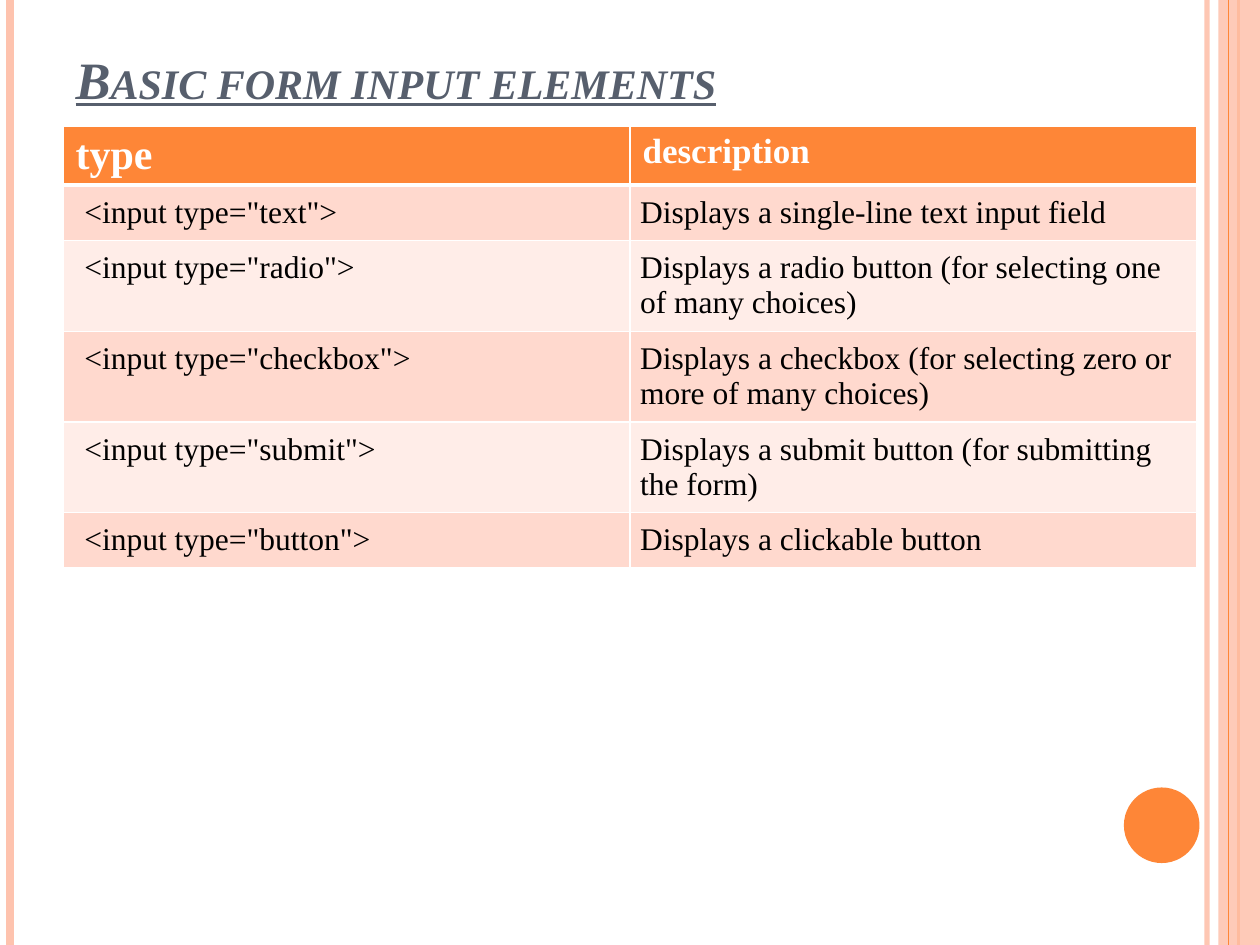
from lxml import etree
from pptx import Presentation
from pptx import util as u
from pptx.dml.color import RGBColor
from pptx.enum import shapes, text
from pptx.oxml import ns

ORANGE = RGBColor(0xFE, 0x86, 0x37)
PEACH = RGBColor(0xFE, 0xC3, 0xAE)
SLATE = RGBColor(0x57, 0x5F, 0x6D)
WHITE = RGBColor(0xFF, 0xFF, 0xFF)
BLACK = RGBColor(0, 0, 0)
BANDS = [RGBColor(0xFF, 0xD9, 0xCE), RGBColor(0xFF, 0xED, 0xE8)]
FONT = "Times New Roman"


def set_alpha(element, percent):
    color = element.find(".//" + ns.qn("a:srgbClr"))
    etree.SubElement(color, ns.qn("a:alpha"), val=str(percent * 1000))


def add_border(cell, side, points):
    properties = cell._tc.get_or_add_tcPr()
    border = etree.Element(ns.qn("a:" + side), w=str(u.Pt(points)))
    fill = etree.SubElement(border, ns.qn("a:solidFill"))
    etree.SubElement(fill, ns.qn("a:srgbClr"), val=str(WHITE))
    properties.insert(len(properties) - 1, border)


prs = Presentation()
prs.slide_width, prs.slide_height = u.Inches(10), u.Inches(7.5)
slide = prs.slides.add_slide(prs.slide_layouts[5])

stripes = [
    (9.58, PEACH, 3, 93),
    (0.08, PEACH, 4.5, 100),
    (9.83, ORANGE, 1.5, 100),
    (9.75, ORANGE, 0.75, 100),
]
for x, color, width, opacity in stripes:
    if x == 9.75:
        side_band = slide.shapes.add_shape(
            shapes.MSO_SHAPE.RECTANGLE, u.Inches(9.67), 0, u.Inches(0.33), u.Inches(7.5))
        side_band.shadow.inherit = False
        side_band.fill.solid()
        side_band.fill.fore_color.rgb = PEACH
        set_alpha(side_band._element.spPr, 87)
        side_band.line.fill.background()
    stripe = slide.shapes.add_connector(
        shapes.MSO_CONNECTOR.STRAIGHT, u.Inches(x), 0, u.Inches(x), u.Inches(7.5))
    stripe.line.color.rgb = color
    stripe.line.width = u.Pt(width)
    if opacity < 100:
        set_alpha(stripe._element.spPr, opacity)
    etree.SubElement(stripe._element.spPr, ns.qn("a:effectLst"))

page_disc = slide.shapes.add_shape(
    shapes.MSO_SHAPE.OVAL, u.Inches(8.92), u.Inches(6.25), u.Inches(0.6), u.Inches(0.6))
page_disc.shadow.inherit = False
page_disc.fill.solid()
page_disc.fill.fore_color.rgb = ORANGE
page_disc.line.fill.background()

title = slide.shapes.title
title.left, title.top = u.Inches(0.5), u.Inches(0.3)
title.width, title.height = u.Inches(9), u.Inches(0.62)
title.text_frame.vertical_anchor = text.MSO_ANCHOR.BOTTOM
heading = title.text_frame.paragraphs[0]
heading.alignment = text.PP_ALIGN.LEFT
heading_run = heading.add_run()
heading_run.text = "Basic form input elements"
heading_run.font.name = FONT
heading_run.font.size = u.Pt(30)
heading_run.font.bold = heading_run.font.italic = heading_run.font.underline = True
heading_run.font.color.rgb = SLATE
heading_run.font._element.set("cap", "small")

entries = [
    ("type", "description"),
    ('<input type="text">', "Displays a single-line text input field"),
    ('<input type="radio">', "Displays a radio button (for selecting one of many choices)"),
    ('<input type="checkbox">', "Displays a checkbox (for selecting zero or more of many choices)"),
    ('<input type="submit">', "Displays a submit button (for submitting the form)"),
    ('<input type="button">', "Displays a clickable button"),
]
row_heights = [0.47, 0.44, 0.72, 0.72, 0.72, 0.44]
header_sizes = [24, 20]
left_insets = [0.17, 0.08]

inputs = slide.shapes.add_table(
    len(entries), 2, u.Inches(0.5), u.Inches(1), u.Inches(9), u.Inches(sum(row_heights))).table
for row, entry in enumerate(entries):
    inputs.rows[row].height = u.Inches(row_heights[row])
    header = row == 0
    for column, wording in enumerate(entry):
        cell = inputs.cell(row, column)
        cell.fill.solid()
        cell.fill.fore_color.rgb = ORANGE if header else BANDS[(row - 1) % 2]
        for side in ("lnL", "lnR", "lnT", "lnB"):
            thick = (header and side == "lnB") or (row == 1 and side == "lnT")
            add_border(cell, side, 3 if thick else 1)
        if not header:
            cell.margin_left = u.Inches(left_insets[column])
            cell.margin_right = cell.margin_top = cell.margin_bottom = u.Inches(0.08)
        run = cell.text_frame.paragraphs[0].add_run()
        run.text = wording
        run.font.name = FONT
        run.font.size = u.Pt(header_sizes[column] if header else 18)
        run.font.bold = header
        run.font.color.rgb = WHITE if header else BLACK

prs.save("out.pptx")
